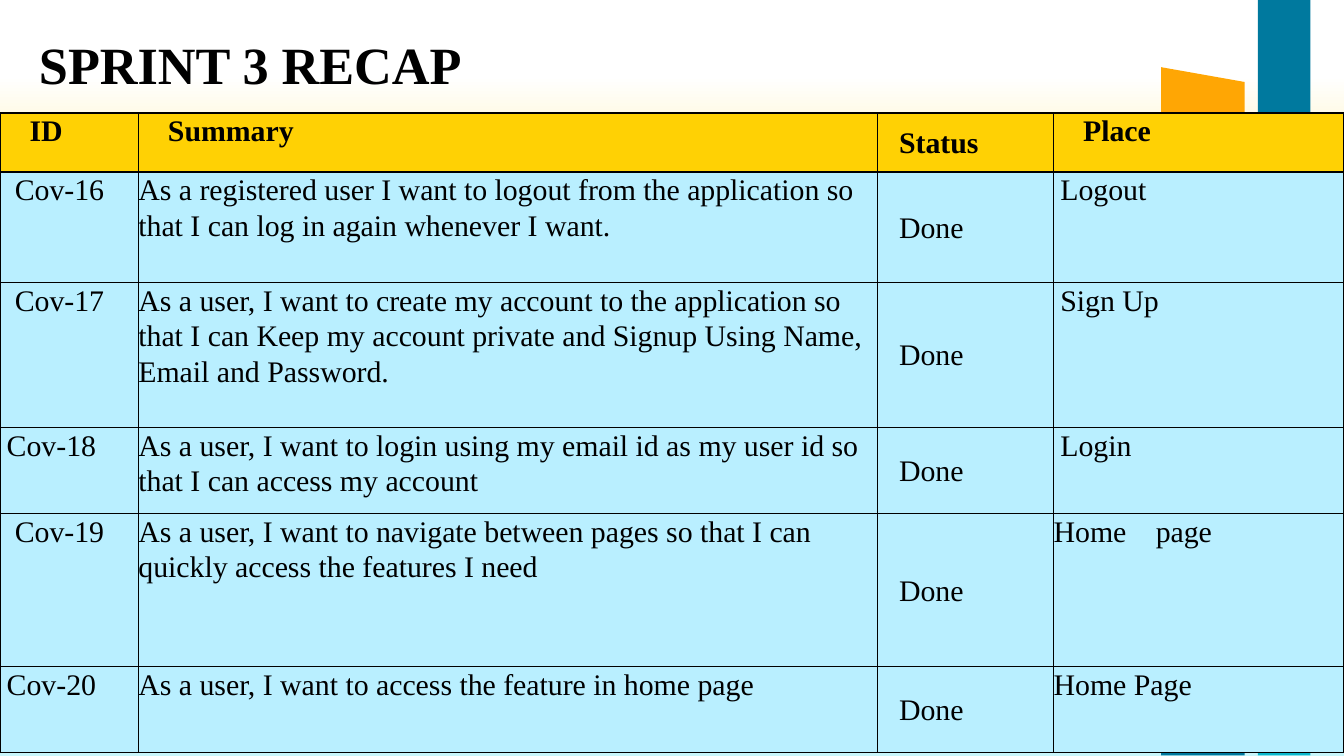
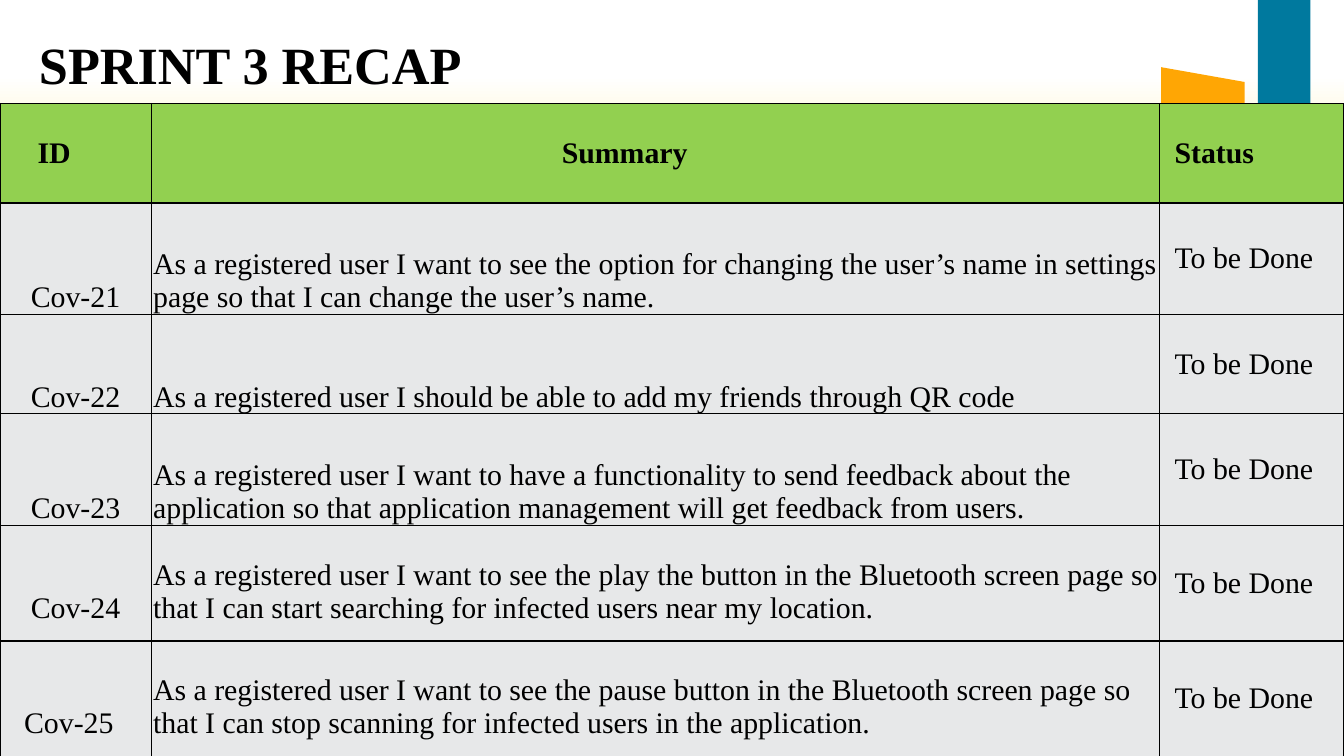
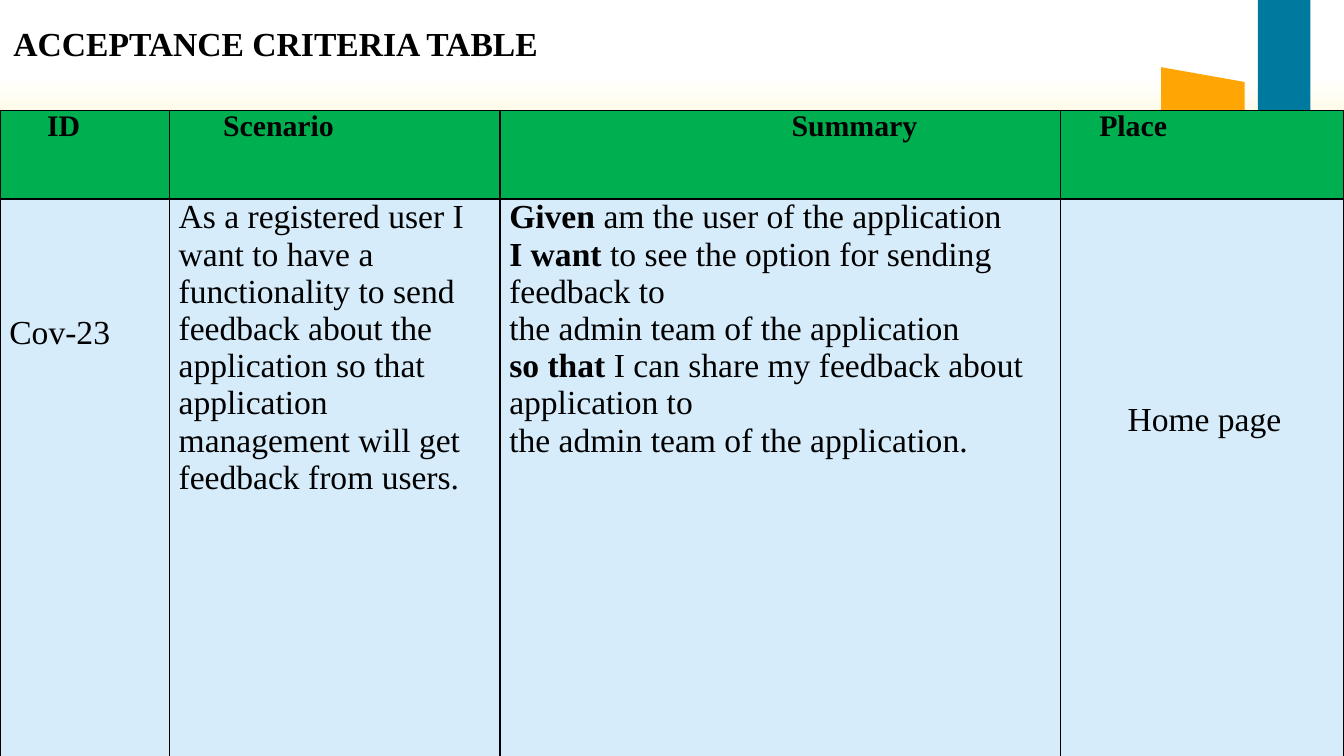
import dataclasses

import lxml.etree
import pptx
import pptx.dml.color
import pptx.enum.text
import pptx.oxml.ns
import pptx.util

Inches = pptx.util.Inches
ANCHOR = pptx.enum.text.MSO_ANCHOR
qn = pptx.oxml.ns.qn


@dataclasses.dataclass(frozen=True)
class Theme:
    font: str = "Times New Roman"
    ink: str = "000000"
    teal: str = "0DB8CC"
    mint: str = "32E4C8"
    blue: str = "00799E"
    orange: str = "FFA604"
    yellow: str = "FFD104"
    pale_cyan: str = "B9EFFF"
    lime: str = "92D050"
    grey: str = "E7E8E9"
    green: str = "00B050"
    pale_blue: str = "D6ECFA"
    background: tuple = ((10, "FFFFFF"), (30, "FFED9B"), (76, "C8F6FB"), (100, "C8F6FB"))
    title_size: int = 28
    small_title_size: int = 18
    table_size: int = 16
    criteria_size: int = 18
    border_width: float = 0.75


theme = Theme()


def write_text(frame, paragraphs, size, bold=False, line_spacing=1.0, tab=None):
    for index, runs in enumerate(paragraphs):
        paragraph = frame.paragraphs[0] if index == 0 else frame.add_paragraph()
        paragraph.alignment = pptx.enum.text.PP_ALIGN.LEFT
        paragraph.line_spacing = line_spacing
        if tab:
            properties = paragraph._p.get_or_add_pPr()
            tab_list = lxml.etree.SubElement(properties, qn("a:tabLst"))
            lxml.etree.SubElement(tab_list, qn("a:tab"), pos=str(Inches(tab)), algn="l")
        for text, run_bold in [(runs, bold)] if isinstance(runs, str) else runs:
            run = paragraph.add_run()
            run.text = text
            run.font.name = theme.font
            run.font.size = pptx.util.Pt(size)
            run.font.bold = run_bold
            run.font.color.rgb = pptx.dml.color.RGBColor.from_string(theme.ink)


def add_borders(cell):
    properties = cell._tc.get_or_add_tcPr()
    for index, side in enumerate(("a:lnL", "a:lnR", "a:lnT", "a:lnB")):
        line = lxml.etree.Element(qn(side), w=str(pptx.util.Pt(theme.border_width)))
        fill = lxml.etree.SubElement(line, qn("a:solidFill"))
        lxml.etree.SubElement(fill, qn("a:srgbClr"), val=theme.ink)
        properties.insert(index, line)


bands = [
    (theme.teal, [(9.36, 5.62), (9.36, 3.84), (9.75, 3.91), (9.75, 5.62)]),
    (theme.mint, [(9.75, 2.12), (9.36, 2.05), (9.36, 1.07), (9.75, 1.14)]),
    (theme.blue, [(9.36, 0), (9.75, 0), (9.75, 1.04), (9.36, 0.97)]),
    (theme.orange, [(9.26, 1.28), (8.64, 1.16), (8.64, 0.5), (9.26, 0.61)]),
    (theme.blue, [(9.26, 5.62), (8.64, 5.62), (8.64, 5), (9.26, 5.12)]),
    (theme.teal, [(8.64, 1.27), (9.26, 1.38), (9.26, 5.01), (8.64, 4.9)]),
]

done_sprint = {
    "title": "SPRINT 3 RECAP",
    "title_box": (0.19, 0.19, 3.4, 0.57),
    "title_size": theme.title_size,
    "top": 0.84,
    "columns": [1.03, 5.5, 1.31, 2.16],
    "rows": [0.44, 0.82, 1.08, 0.64, 1.14, 0.64],
    "fills": (theme.yellow, theme.pale_cyan),
    "size": theme.table_size,
    "line_spacing": 1.07,
    "right": 0,
    "header_left": [0.22, 0.22, 0.16, 0.22],
    "body_left": [0.11, 0, 0.16, 0.05],
    "header_anchors": [ANCHOR.TOP, ANCHOR.TOP, ANCHOR.MIDDLE, ANCHOR.TOP],
    "body_anchors": [ANCHOR.TOP, ANCHOR.TOP, ANCHOR.MIDDLE, ANCHOR.TOP],
    "exceptions": {
        (3, 0): {"left": 0.05},
        (4, 3): {"left": 0, "tab": 0.76},
        (5, 0): {"left": 0.05},
        (5, 3): {"left": 0},
    },
    "cells": [
        ["ID", "Summary", "Status", "Place"],
        ["Cov-16", "As a registered user I want to logout from the application so that "
         "I can log in again whenever I want.", "Done", "Logout"],
        ["Cov-17", "As a user, I want to create my account to the application so that "
         "I can Keep my account private and Signup Using Name, Email and Password.", "Done", "Sign Up"],
        ["Cov-18", "As a user, I want to login using my email id as my user id so that "
         "I can access my account", "Done", "Login"],
        ["Cov-19", "As a user, I want to navigate between pages so that I can quickly "
         "access the features I need", "Done", "Home\tpage"],
        ["Cov-20", "As a user, I want to access the feature in home page", "Done", "Home Page"],
    ],
}

feedback_story = ("As a registered user I want to have a functionality to send feedback about the "
                  "application so that application management will get feedback from users.")

open_sprint = {
    "title": "SPRINT 3 RECAP",
    "title_box": (0.19, 0.19, 3.4, 0.57),
    "title_size": theme.title_size,
    "top": 0.77,
    "columns": [1.13, 7.5, 1.37],
    "rows": [0.74, 0.83, 0.74, 0.83, 0.86, 0.86],
    "fills": (theme.lime, theme.grey),
    "size": theme.table_size,
    "line_spacing": 1.0,
    "right": 0.01,
    "header_left": [0.28, 3.05, 0.11],
    "body_left": [0.23, 0.01, 0.11],
    "header_anchors": [ANCHOR.MIDDLE] * 3,
    "body_anchors": [ANCHOR.BOTTOM, ANCHOR.BOTTOM, ANCHOR.MIDDLE],
    "exceptions": {
        (4, 0): {"bottom": 0.12},
        (4, 1): {"bottom": 0.12},
        (5, 0): {"left": 0.18, "bottom": 0.12},
        (5, 1): {"bottom": 0.12},
    },
    "cells": [
        ["ID", "Summary", "Status"],
        ["Cov-21", "As a registered user I want to see the option for changing the user’s name "
         "in settings page so that I can change the user’s name.", "To be Done"],
        ["Cov-22", "As a registered user I should be able to add my friends through QR code", "To be Done"],
        ["Cov-23", feedback_story, "To be Done"],
        ["Cov-24", "As a registered user I want to see the play the button in the Bluetooth screen "
         "page so that I can start searching for infected users near my location.", "To be Done"],
        ["Cov-25", "As a registered user I want to see the pause button in the Bluetooth screen "
         "page so that I can stop scanning for infected users in the application.", "To be Done"],
    ],
}

acceptance = {
    "title": "ACCEPTANCE CRITERIA TABLE",
    "title_box": (0, 0.12, 5, 0.4),
    "title_size": theme.small_title_size,
    "top": 0.82,
    "columns": [1.26, 2.46, 4.17, 2.11],
    "rows": [0.66, 4.15],
    "fills": (theme.green, theme.pale_blue),
    "size": theme.criteria_size,
    "line_spacing": 1.0,
    "right": 0.07,
    "header_left": [0.35, 0.4, 2.17, 0.29],
    "body_left": [0.07, 0.07, 0.07, 0.5],
    "header_anchors": [ANCHOR.TOP] * 4,
    "body_anchors": [ANCHOR.TOP] * 4,
    "exceptions": {(1, 0): {"top": 0.86}, (1, 3): {"top": 1.51}},
    "cells": [
        ["ID", "Scenario", "Summary", "Place"],
        ["Cov-23", feedback_story, [
            [("Given", True), (" am the user of the application", False)],
            [("I want ", True), ("to see the option for sending feedback to", False)],
            "the admin team of the application",
            [("so that ", True), ("I can share my feedback about application to", False)],
            "the admin team of the application.",
        ], "Home page"],
    ],
}

presentation = pptx.Presentation()
presentation.slide_width = Inches(10)
presentation.slide_height = Inches(10) * 9 // 16
master = presentation.slide_master
title_layout = presentation.slide_layouts.get_by_name("Title Only")

background = master.background.fill
background.gradient()
background.gradient_angle = 270
stop_list = next(master.element.iter(qn("a:gsLst")))
for stop in list(stop_list):
    stop_list.remove(stop)
for position, color in theme.background:
    stop = lxml.etree.SubElement(stop_list, qn("a:gs"), pos=str(position * 1000))
    lxml.etree.SubElement(stop, qn("a:srgbClr"), val=color)

contents = [done_sprint, open_sprint, acceptance]
slides = [presentation.slides.add_slide(title_layout) for content in contents]

for index, (color, points) in enumerate(bands):
    corners = [(Inches(x), Inches(y)) for x, y in points]
    builder = slides[0].shapes.build_freeform(*corners[0])
    builder.add_line_segments(corners[1:], close=True)
    shape = builder.convert_to_shape()
    shape.name = f"Band {index + 1}"
    shape.shadow.inherit = False
    shape.fill.solid()
    shape.fill.fore_color.rgb = pptx.dml.color.RGBColor.from_string(color)
    shape.line.fill.background()
    next(shape.element.iter(qn("p:cNvPr"))).set("id", str(20 + index))
    master.shapes.element.insert(2 + index, shape.element)

for slide, content in zip(slides, contents):
    title = slide.shapes.title
    title.left, title.top, title.width, title.height = map(Inches, content["title_box"])
    title.text_frame.word_wrap = True
    title.text_frame.auto_size = pptx.enum.text.MSO_AUTO_SIZE.SHAPE_TO_FIT_TEXT
    title.text_frame.vertical_anchor = ANCHOR.TOP
    write_text(title.text_frame, [content["title"]], content["title_size"], bold=True)

    columns, rows = content["columns"], content["rows"]
    table = slide.shapes.add_table(len(rows), len(columns), 0, Inches(content["top"]),
                                   Inches(sum(columns)), Inches(sum(rows))).table
    table.first_row = False
    table.horz_banding = False
    for column, width in zip(table.columns, columns):
        column.width = Inches(width)
    for row_index, height in enumerate(rows):
        table.rows[row_index].height = Inches(height)
        header = row_index == 0
        lefts = content["header_left" if header else "body_left"]
        anchors = content["header_anchors" if header else "body_anchors"]
        for column_index, text in enumerate(content["cells"][row_index]):
            exception = content["exceptions"].get((row_index, column_index), {})
            cell = table.cell(row_index, column_index)
            cell.margin_left = Inches(exception.get("left", lefts[column_index]))
            cell.margin_right = Inches(content["right"])
            cell.margin_top = Inches(exception.get("top", 0))
            cell.margin_bottom = Inches(exception.get("bottom", 0))
            cell.vertical_anchor = anchors[column_index]
            cell.fill.solid()
            cell.fill.fore_color.rgb = pptx.dml.color.RGBColor.from_string(content["fills"][0 if header else 1])
            add_borders(cell)
            write_text(cell.text_frame, [text] if isinstance(text, str) else text,
                       theme.table_size if header else content["size"], bold=header,
                       line_spacing=content["line_spacing"], tab=exception.get("tab"))

presentation.save("out.pptx")
